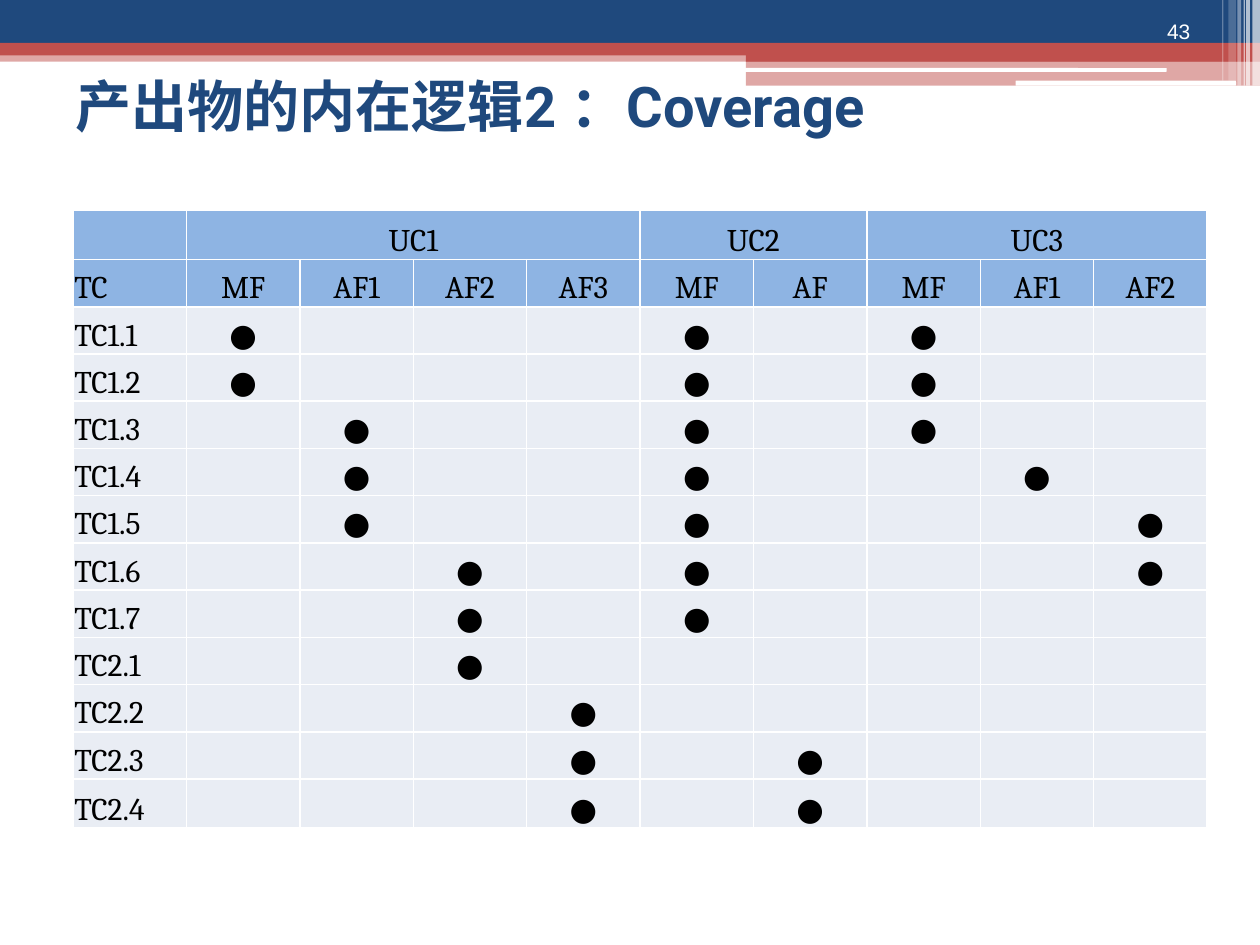
from typing import NamedTuple

import pptx
import pptx.dml.color
import pptx.enum.shapes
import pptx.enum.text
import pptx.oxml
import pptx.oxml.ns
import pptx.util
from lxml import etree

Inches = pptx.util.Inches
Pt = pptx.util.Pt
ALIGN = pptx.enum.text.PP_ALIGN
ANCHOR = pptx.enum.text.MSO_ANCHOR
SHAPE = pptx.enum.shapes.MSO_SHAPE
qn = pptx.oxml.ns.qn

NAVY, RED, WHITE, BLACK = "1F497D", "C0504D", "FFFFFF", "000000"
HEADER, BODY = "8EB4E3", "E9EDF4"


class Band(NamedTuple):
    left: float
    top: float
    width: float
    height: float
    color: str
    opacity: int = 100
    rounded: bool = False


class Group(NamedTuple):
    name: str
    flows: list[str]


class TestCase(NamedTuple):
    name: str
    covered: tuple[int, ...]  # column numbers that carry a dot


BANDS = [
    Band(0, 0.4, 10, 0.09, RED, 50),
    Band(0, 0, 10, 0.34, NAVY),
    Band(0, 0.34, 10, 0.1, RED),
    Band(5.92, 0.39, 4.08, 0.1, RED),
    Band(5.92, 0.48, 4.08, 0.2, RED, 50),
    Band(5.91, 0.54, 3.35, 0.03, WHITE, rounded=True),
    Band(8.06, 0.64, 1.75, 0.04, WHITE, rounded=True),
    Band(9.94, 0, 0.06, 0.68, WHITE, 65),
    Band(9.89, 0, 0.03, 0.68, WHITE, 65),
    Band(9.87, 0, 0.01, 0.68, WHITE, 60),
    Band(9.82, 0, 0.03, 0.68, WHITE, 40),
    Band(9.75, 0, 0.06, 0.64, WHITE, 20),
    Band(9.7, 0, 0.01, 0.64, WHITE, 30),
]
GROUPS = [
    Group("UC1", ["MF", "AF1", "AF2", "AF3"]),
    Group("UC2", ["MF", "AF"]),
    Group("UC3", ["MF", "AF1", "AF2"]),
]
CASES = [
    TestCase("TC1.1", (1, 5, 7)),
    TestCase("TC1.2", (1, 5, 7)),
    TestCase("TC1.3", (2, 5, 7)),
    TestCase("TC1.4", (2, 5, 8)),
    TestCase("TC1.5", (2, 5, 9)),
    TestCase("TC1.6", (3, 5, 9)),
    TestCase("TC1.7", (3, 5)),
    TestCase("TC2.1", (3,)),
    TestCase("TC2.2", (4,)),
    TestCase("TC2.3", (4, 6)),
    TestCase("TC2.4", (4, 6)),
]


def rgb(color: str) -> pptx.dml.color.RGBColor:
    return pptx.dml.color.RGBColor.from_string(color)


def set_all(obj, values: dict) -> None:
    for name, value in values.items():
        setattr(obj, name, value)


def write(p, text: str, font: str, size: float, color: str, bold: bool = False) -> None:
    r = p.add_run()
    r.text = text
    set_all(r.font, {"name": font, "size": Pt(size), "bold": bold})
    r.font.color.rgb = rgb(color)


def draw_band(s, band: Band) -> None:
    kind = SHAPE.ROUNDED_RECTANGLE if band.rounded else SHAPE.RECTANGLE
    sp = s.shapes.add_shape(kind, Inches(band.left), Inches(band.top),
                            Inches(band.width), Inches(band.height))
    sp.shadow.inherit = False
    sp.line.fill.background()
    sp.fill.solid()
    sp.fill.fore_color.rgb = rgb(band.color)
    if band.opacity < 100:
        clr = sp.element.spPr.find(".//" + qn("a:srgbClr"))
        etree.SubElement(clr, qn("a:alpha"), val=str(band.opacity * 1000))


def add_borders(cell) -> None:
    """Give the cell a thin white line on each side."""
    tc_pr = cell._tc.get_or_add_tcPr()
    for i, side in enumerate("LRTB"):
        ln = etree.Element(qn(f"a:ln{side}"), w=str(Pt(1)))
        fill = etree.SubElement(ln, qn("a:solidFill"))
        etree.SubElement(fill, qn("a:srgbClr"), val=WHITE)
        tc_pr.insert(i, ln)


def fill_cell(cell, text: str, color: str, align) -> None:
    set_all(cell, {"margin_left": Inches(0.01), "margin_right": Inches(0.01),
                   "margin_top": Inches(0.01), "margin_bottom": 0,
                   "vertical_anchor": ANCHOR.BOTTOM})
    cell.fill.solid()
    cell.fill.fore_color.rgb = rgb(color)
    add_borders(cell)
    p = cell.text_frame.paragraphs[0]
    p.alignment = align
    if text:
        write(p, text, "Cambria", 18, BLACK)


def draw_coverage(s) -> None:
    group_row, flow_row = [""], ["TC"]
    for group in GROUPS:
        group_row += [group.name] + [""] * (len(group.flows) - 1)
        flow_row += group.flows
    cols = range(1, len(flow_row))
    rows = [group_row, flow_row]
    rows += [[case.name] + ["●" if c in case.covered else "" for c in cols] for case in CASES]

    table = s.shapes.add_table(len(rows), len(flow_row), Inches(0.58), Inches(1.67),
                               Inches(9), Inches(4.91)).table
    set_all(table, {"first_row": False, "horz_banding": False})
    for col in table.columns:
        col.width = Inches(0.9)
    for i, row in enumerate(table.rows):
        row.height = Inches(0.39 if i in (0, len(rows) - 1) else 0.375)
    for i, texts in enumerate(rows):
        for j, text in enumerate(texts):
            fill_cell(table.cell(i, j), text, HEADER if i < 2 else BODY,
                      ALIGN.CENTER if j else ALIGN.LEFT)
    start = 1
    for group in GROUPS:
        end = start + len(group.flows) - 1
        table.cell(0, start).merge(table.cell(0, end))
        start = end + 1


def draw_title(s, text: str) -> None:
    title = s.shapes.title
    title.element.getparent().append(title.element)  # in front of the bands
    set_all(title, {"left": Inches(0.5), "top": Inches(0.42),
                    "width": Inches(9), "height": Inches(0.83)})
    title.text_frame.vertical_anchor = ANCHOR.MIDDLE
    p = title.text_frame.paragraphs[0]
    p.alignment = ALIGN.LEFT
    write(p, text, "Roboto", 32, NAVY, bold=True)


def draw_page_number(s, number: int) -> None:
    tf = s.shapes.add_textbox(Inches(8.94), 0, Inches(0.83), Inches(0.4)).text_frame
    set_all(tf, {"word_wrap": True, "vertical_anchor": ANCHOR.BOTTOM})
    p = tf.paragraphs[0]
    p.alignment = ALIGN.CENTER
    write(p, str(number), "Arial", 12, WHITE)


def main() -> None:
    prs = pptx.Presentation()
    set_all(prs, {"slide_width": Inches(10), "slide_height": Inches(7.5)})
    s = prs.slides.add_slide(prs.slide_layouts[5])
    for band in BANDS:
        draw_band(s, band)
    draw_title(s, "产出物的内在逻辑2 ：Coverage")
    draw_coverage(s)
    draw_page_number(s, 43)
    prs.save("out.pptx")


if __name__ == "__main__":
    main()
